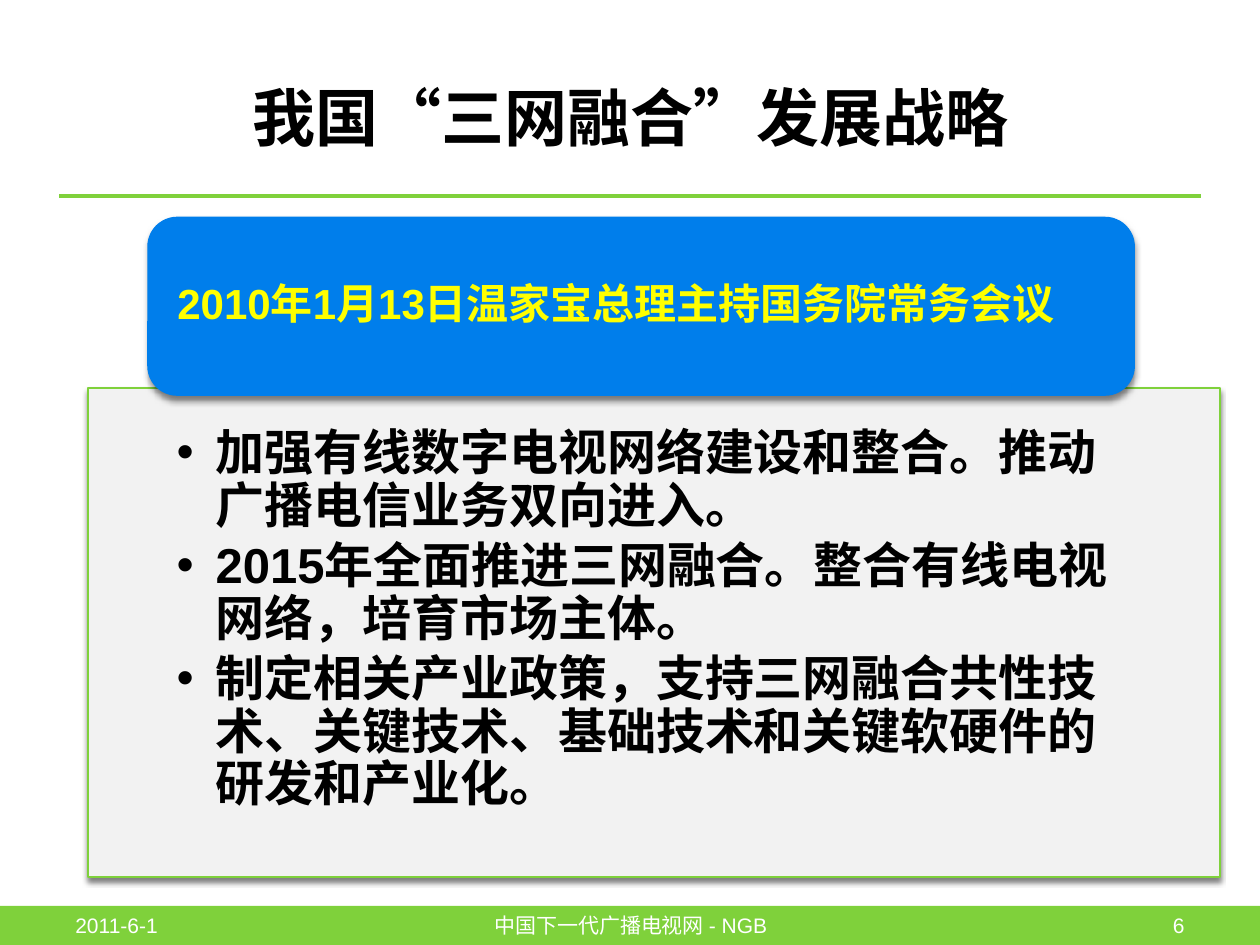
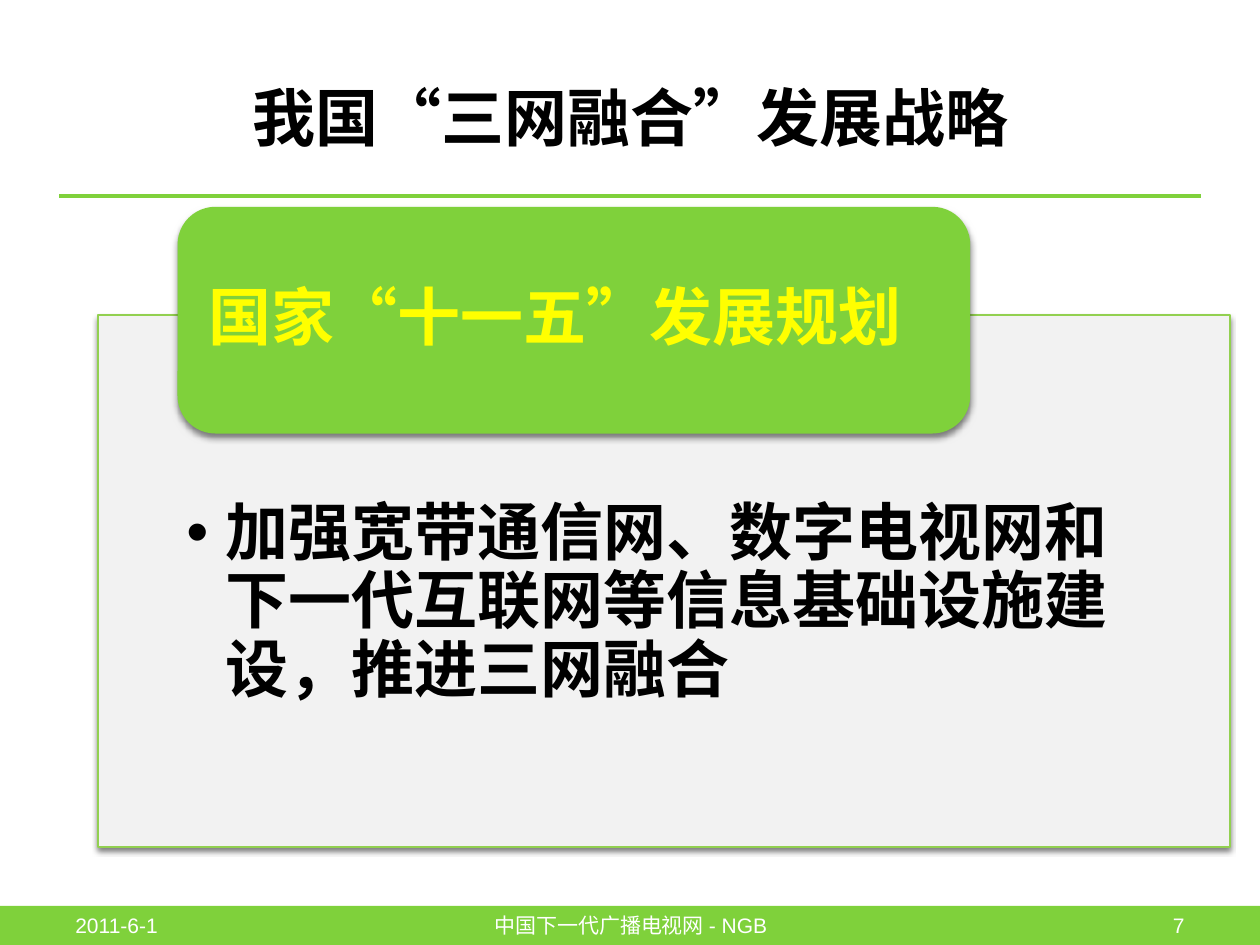
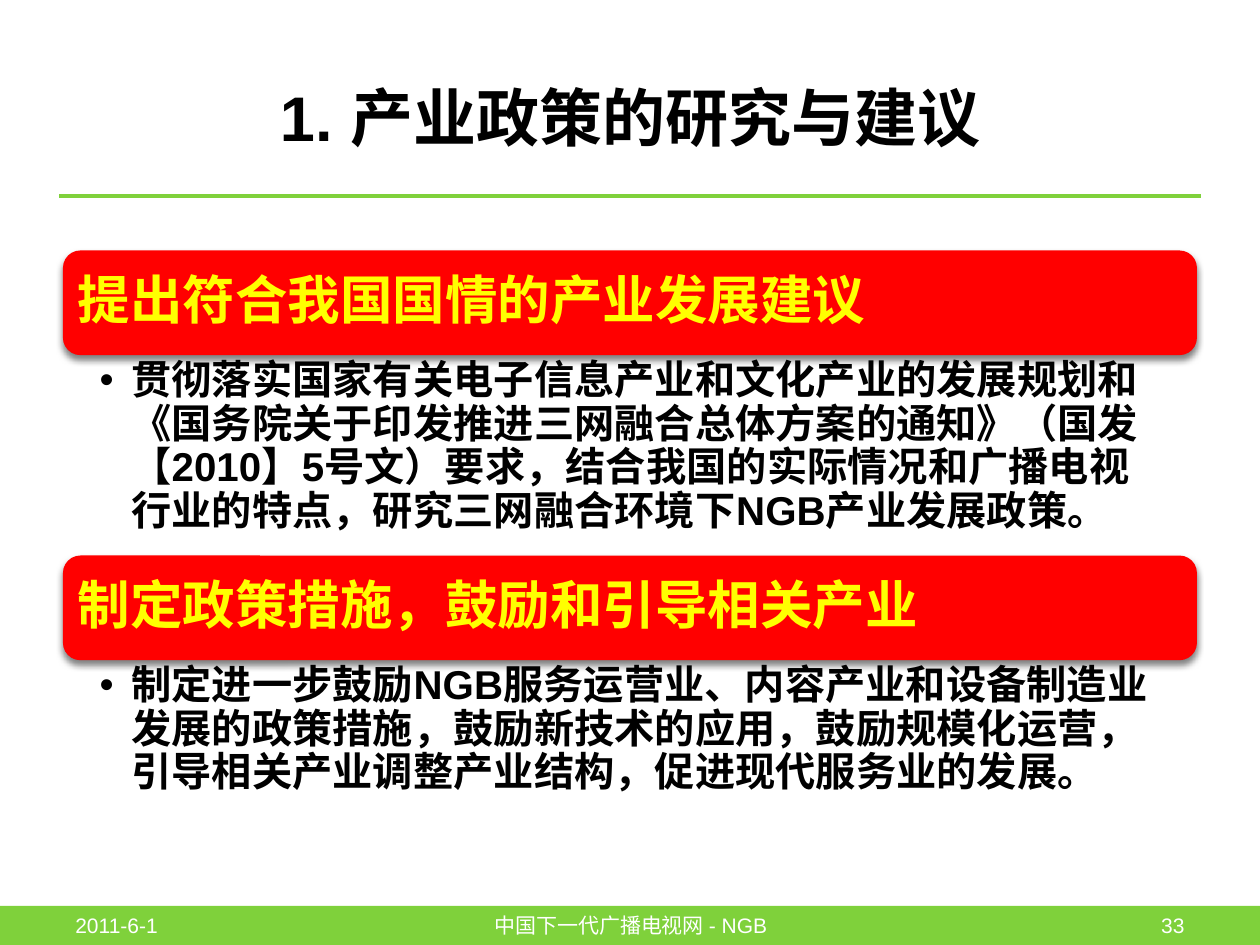
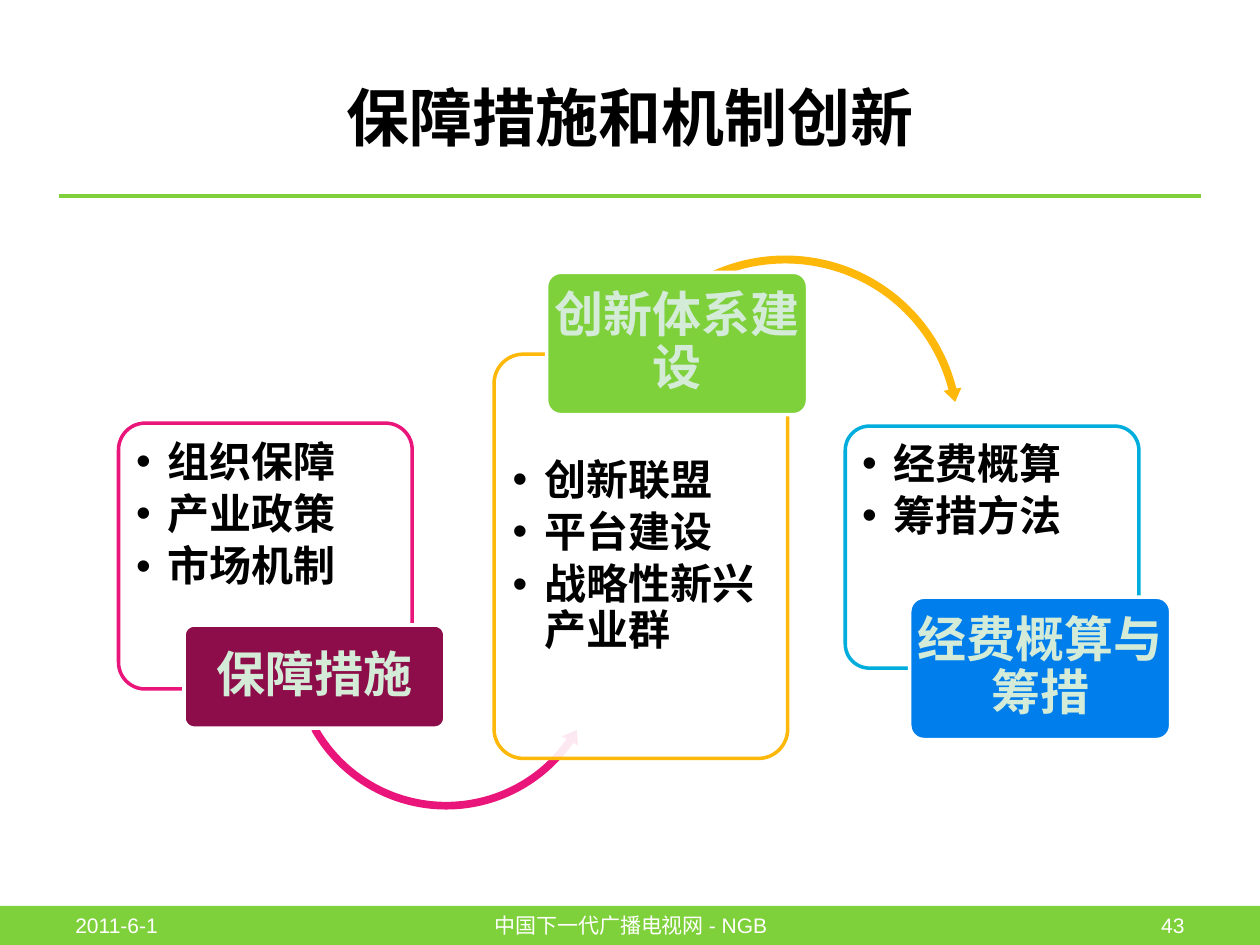
from lxml import etree
from pptx import Presentation
from pptx.dml.color import RGBColor
from pptx.enum.shapes import MSO_CONNECTOR, MSO_SHAPE
from pptx.enum.text import MSO_ANCHOR, PP_ALIGN
from pptx.oxml.ns import qn
from pptx.util import Cm, Pt

RECT = MSO_SHAPE.RECTANGLE
ROUND = MSO_SHAPE.ROUNDED_RECTANGLE
LEFT, MID, RIGHT = PP_ALIGN.LEFT, PP_ALIGN.CENTER, PP_ALIGN.RIGHT
TOP, CENTER = MSO_ANCHOR.TOP, MSO_ANCHOR.MIDDLE
LATIN, HAN = "Arial", "Noto Sans CJK SC"
GREEN, BLUE, RED, YELLOW = "7FD13B", "007EEB", "FF0000", "FFFF00"
WHITE, BLACK, GREY, MINT = "FFFFFF", "000000", "F2F2F2", "D3EBD7"
PINK, WINE, GOLD, CYAN = "EA157A", "8D0D4A", "FEB80A", "00ADDC"
hue = RGBColor.from_string


def box(slide, kind, at, fill, edge=None, width=1, blur=0, adj=(), alpha=100):
    shape = slide.shapes.add_shape(kind, *map(Cm, at))
    shape.shadow.inherit = False
    shape.fill.solid()
    shape.fill.fore_color.rgb = hue(fill)
    if alpha < 100:
        tint = shape.element.spPr.find(qn("a:solidFill"))[0]
        etree.SubElement(tint, qn("a:alpha"), val=str(alpha * 1000))
    if edge:
        shape.line.color.rgb = hue(edge)
        shape.line.width = Pt(width)
    else:
        shape.line.fill.background()
    for i, val in enumerate(adj):
        shape.adjustments[i] = val
    if blur:
        fx = shape.element.spPr.find(qn("a:effectLst"))
        drop = etree.SubElement(fx, qn("a:outerShdw"), blurRad=str(Pt(blur)),
                                dist=str(Pt(2.5)), dir="5400000", rotWithShape="0")
        tone = etree.SubElement(drop, qn("a:srgbClr"), val=BLACK)
        etree.SubElement(tone, qn("a:alpha"), val="50000")
    return shape


def write(shape, lines, size, color, pad=(0.25, 0.13, 0.25, 0.13), align=LEFT,
          anchor=CENTER, face=LATIN, bold=True, space=0.9, hang=0):
    frame = shape.text_frame
    frame.word_wrap = True
    frame.vertical_anchor = anchor
    frame.margin_left, frame.margin_top, frame.margin_right, frame.margin_bottom = map(Cm, pad)
    for i, line in enumerate(lines):
        para = frame.add_paragraph() if i else frame.paragraphs[0]
        para.text = line
        para.alignment = align
        para.line_spacing = space
        font = para.font
        font.size, font.bold, font.name = Pt(size), bold, face
        font.color.rgb = hue(color)
        props = para._p.pPr
        base = props.find(qn("a:defRPr"))
        base.set("lang", "zh-CN")
        base.find(qn("a:latin")).addnext(etree.Element(qn("a:ea"), typeface=HAN))
        if hang:
            para.space_after = Pt(round(size * 0.15))
            props.set("marL", str(Cm(hang)))
            props.set("indent", str(-Cm(hang)))
            base.addprevious(etree.Element(qn("a:buFont"), typeface=LATIN))
            base.addprevious(etree.Element(qn("a:buChar"), char="•"))


prs = Presentation()
prs.slide_width, prs.slide_height = Cm(25.4), Cm(19.05)
layout = prs.slide_layouts[5]
for holder in list(layout.placeholders)[1:]:
    holder.element.getparent().remove(holder.element)

slides = []
for title, page, face in [
    ("我国“三网融合”发展战略", "6", HAN),
    ("我国“三网融合”发展战略", "7", HAN),
    ("1. 产业政策的研究与建议", "33", LATIN),
    ("保障措施和机制创新", "43", LATIN),
]:
    slide = prs.slides.add_slide(layout)
    if not slides:
        band = box(slide, RECT, (0, 18.26, 25.4, 0.79), GREEN)
        rule = slide.shapes.add_connector(MSO_CONNECTOR.STRAIGHT, Cm(1.19), Cm(3.96), Cm(24.21), Cm(3.96))
        rule.line.color.rgb = hue(GREEN)
        rule.line.width = Pt(2.25)
        etree.SubElement(rule.element.spPr, qn("a:effectLst"))
        for part in (band, rule):
            layout.shapes.element.append(part.element)
    slides.append(slide)
    head = slide.shapes.title
    head.left, head.top, head.width, head.height = map(Cm, (1.27, 0.76, 22.86, 3.18))
    write(head, [title], 36, BLACK, align=MID, face=face, space=1.0)
    for text, left, width, align in [
        ("2011-6-1", 1.27, 5.92, LEFT),
        ("中国下一代广播电视网 - NGB", 8.69, 8.05, MID),
        (page, 18.21, 5.92, RIGHT),
    ]:
        foot = slide.shapes.add_textbox(Cm(left), Cm(18.14), Cm(width), Cm(1.02))
        write(foot, [text], 12, WHITE, align=align, bold=False, space=1.0)

plan, goal, policy, steps = slides

panel = box(plan, RECT, (1.78, 7.82, 22.81, 9.86), GREY, GREEN, blur=2.8)
write(panel, [
    "加强有线数字电视网络建设和整合。推动广播电信业务双向进入。",
    "2015年全面推进三网融合。整合有线电视网络，培育市场主体。",
    "制定相关产业政策，支持三网融合共性技术、关键技术、基础技术和关键软硬件的研发和产业化。",
], 28, BLACK, (1.78, 0.81, 1.78, 0.56), anchor=TOP, hang=0.79)
label = box(plan, ROUND, (2.97, 4.37, 19.91, 3.61), BLUE, blur=4)
write(label, ["2010年1月13日温家宝总理主持国务院常务会议"], 24, YELLOW, (0.43, 0, 0.2, 0))

panel = box(goal, RECT, (1.98, 6.35, 22.81, 10.72), GREY, "92D050", blur=2.8)
write(panel, ["加强宽带通信网、数字电视网和下一代互联网等信息基础设施建设，推进三网融合"],
      36, BLACK, (1.78, 3.76, 1.78, 0.71), anchor=TOP, face=HAN, hang=0.79)
label = box(goal, ROUND, (3.58, 4.17, 15.98, 4.57), GREEN, blur=4)
write(label, ["国家“十一五”发展规划"], 36, YELLOW, (0.4, 0, 0.4, 0))

for top, tall, name, text in [
    (5.05, 4.06, "提出符合我国国情的产业发展建议",
     "贯彻落实国家有关电子信息产业和文化产业的发展规划和《国务院关于印发推进三网融合总体方案的通知》（国发【2010】5号文）要求，结合我国的实际情况和广播电视行业的特点，研究三网融合环境下NGB产业发展政策。"),
    (11.2, 3.1, "制定政策措施，鼓励和引导相关产业",
     "制定进一步鼓励NGB服务运营业、内容产业和设备制造业发展的政策措施，鼓励新技术的应用，鼓励规模化运营，引导相关产业调整产业结构，促进现代服务业的发展。"),
]:
    label = box(policy, ROUND, (1.27, top, 22.86, 2.11), RED, blur=4)
    write(label, [name], 30, YELLOW, (0.2, 0.2, 0.2, 0.2))
    body = policy.shapes.add_textbox(Cm(1.27), Cm(top + 2.11), Cm(22.86), Cm(tall))
    write(body, [text], 23, BLACK, (0.74, 0.1, 0.58, 0.1), anchor=TOP, hang=0.64)

left_arc = (MSO_SHAPE.LEFT_CIRCULAR_ARROW, (5.77, 9.98, 6.45, 6.45), PINK,
            (0.024, 2.962, 20.857, 90.385, 0.029))
right_arc = (MSO_SHAPE.CIRCULAR_ARROW, (12.17, 5.05, 7.32, 7.29), GOLD,
             (0.022, 2.586, 207.537, 137.634, 0.025))
for name, items, frame, inset, edge, place, fill, arc in [
    ("保障措施", ["组织保障", "产业政策", "市场机制"],
     (2.39, 8.53, 5.92, 5.36), 0.2, PINK, (3.71, 12.6, 5.26, 2.08), WINE, left_arc),
    ("创新体系建设", ["创新联盟", "平台建设", "战略性新兴产业群"],
     (9.96, 7.14, 5.92, 8.15), 1.94, GOLD, (11.02, 5.49, 5.26, 2.87), GREEN, right_arc),
    ("经费概算与筹措", ["经费概算", "筹措方法"],
     (17.04, 8.59, 5.92, 4.88), 0.2, CYAN, (18.34, 12.04, 5.26, 2.87), BLUE, None),
]:
    panel = box(steps, ROUND, frame, WHITE, edge, 2, adj=[0.1], alpha=90)
    write(panel, items, 24, BLACK, (0.2, inset, 0.2, 0.2), anchor=TOP, hang=0.64)
    if arc:
        kind, at, tone, adj = arc
        box(steps, kind, at, tone, adj=adj)
    label = box(steps, ROUND, place, fill, WHITE, 2, adj=[0.1])
    write(label, [name], 28, MINT, (0.05, 0.05, 0.05, 0.05), align=MID)

prs.save("out.pptx")
